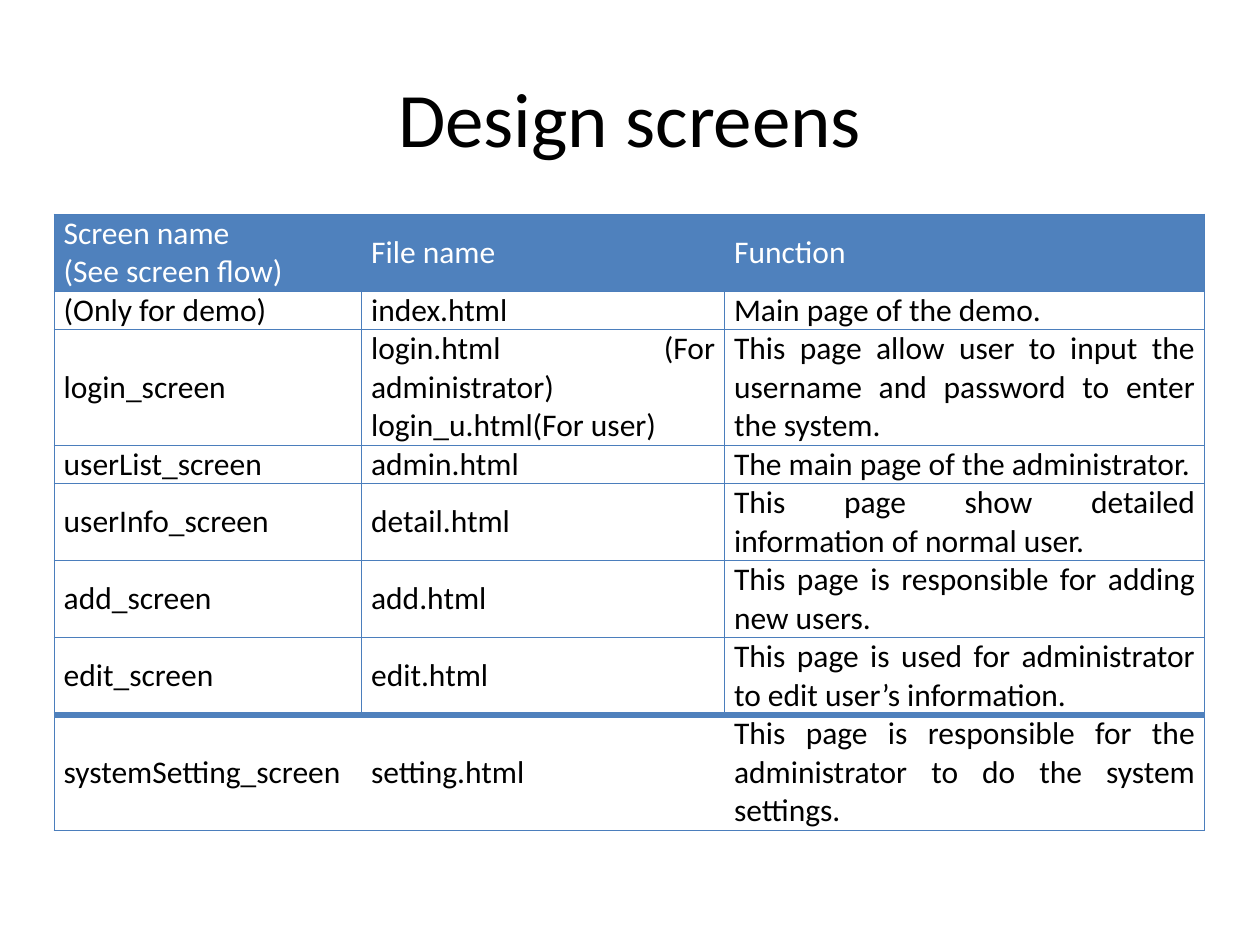
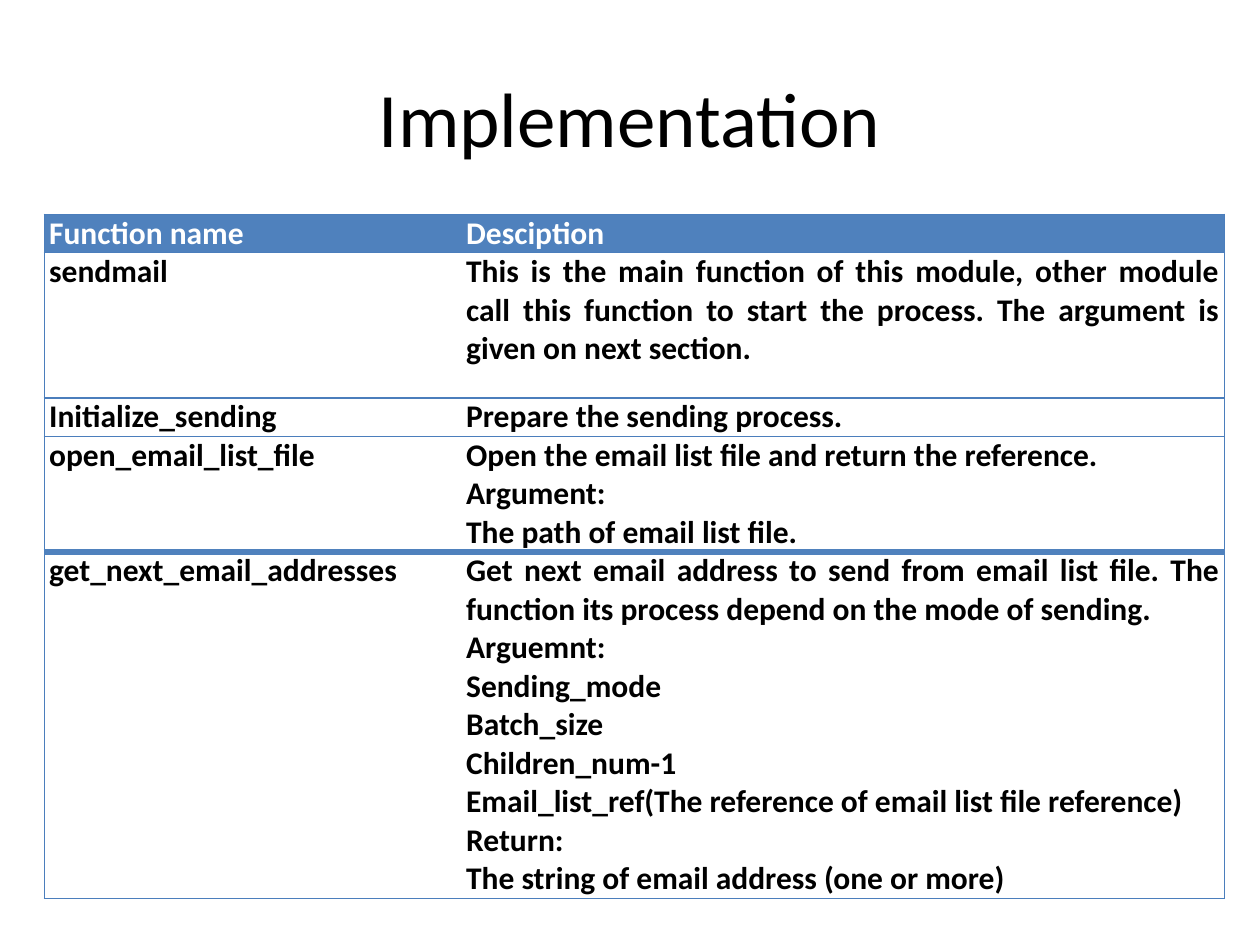
"""Build two slides that each hold a title and a ruled reference table."""
import dataclasses

import lxml.etree
import pptx
import pptx.dml.color
import pptx.enum.text
import pptx.oxml.ns
import pptx.util

Pt = pptx.util.Pt


@dataclasses.dataclass(frozen=True)
class Theme:
    font: str = "Calibri"
    title_size: int = 44
    table_size: int = 18
    line_height: int = 22
    text: str = "000000"
    header_text: str = "FFFFFF"
    header_fill: str = "4F81BD"
    body_fill: str = "FFFFFF"
    rule: str = "4B7EBC"
    thin_rule: float = 0.75
    thick_rule: float = 4


THEME = Theme()
SLIDE_SIZE = (720, 540)
TITLE_BOX = (36, 21.6, 648, 90)
TABLE_TOP = 122.4

SLIDES = [
    {
        "title": "Design screens",
        "left": 31,
        "column_widths": (175.7, 207.4, 274.3),
        "row_lines": (2, 1, 3, 1, 2, 2, 2, 3),
        "extra_heights": {},
        "side_margin": 5.4,
        "anchor": pptx.enum.text.MSO_ANCHOR.MIDDLE,
        "bold": False,
        "column_rules": True,
        "rows": [
            ("Screen name\n(See screen flow)", "File name", "Function"),
            ("(Only for demo)", "index.html", "Main page of the demo."),
            ("login_screen", "login.html (For administrator)\nlogin_u.html(For user)",
             "This page allow user to input the username and password to enter the system."),
            ("userList_screen", "admin.html", "The main page of the administrator."),
            ("userInfo_screen", "detail.html",
             "This page show detailed information of normal user."),
            ("add_screen", "add.html", "This page is responsible for adding new users."),
            ("edit_screen", "edit.html",
             "This page is used for administrator to edit user’s information."),
            ("systemSetting_screen", "setting.html",
             "This page is responsible for the administrator to do the system settings."),
        ],
    },
    {
        "title": "Implementation",
        "left": 25.2,
        "column_widths": (238.3, 436.4),
        "row_lines": (1, 3, 1, 3, 9),
        "extra_heights": {1: 17},
        "side_margin": 2.9,
        "anchor": pptx.enum.text.MSO_ANCHOR.TOP,
        "bold": True,
        "column_rules": False,
        "rows": [
            ("Function name", "Desciption"),
            ("sendmail",
             "This is the main function of this module, other module call this function "
             "to start the process. The argument is given on next section."),
            ("Initialize_sending", "Prepare the sending process."),
            ("open_email_list_file",
             "Open the email list file and return the reference.\nArgument:\n"
             "The path of email list file."),
            ("get_next_email_addresses",
             "Get next email address to send from email list file. The function its process "
             "depend on the mode of sending.\nArguemnt:\nSending_mode\nBatch_size\n"
             "Children_num-1\nEmail_list_ref(The reference of email list file reference)\n"
             "Return:\nThe string of email address (one or more)"),
        ],
    },
]


def color(value):
    return pptx.dml.color.RGBColor.from_string(value)


def format_text(text_frame, size, text_color, alignment, bold=False):
    for paragraph in text_frame.paragraphs:
        paragraph.alignment = alignment
        for run in paragraph.runs:
            run.font.name = THEME.font
            run.font.size = Pt(size)
            run.font.bold = bold
            run.font.color.rgb = color(text_color)


def add_title(slide, title):
    shape = slide.shapes.add_textbox(*map(Pt, TITLE_BOX))
    text_frame = shape.text_frame
    text_frame.word_wrap = True
    text_frame.vertical_anchor = pptx.enum.text.MSO_ANCHOR.MIDDLE
    text_frame.text = title
    format_text(text_frame, THEME.title_size, THEME.text, pptx.enum.text.PP_ALIGN.CENTER)


def add_border(cell, side, width, line_color):
    qualified = pptx.oxml.ns.qn
    properties = cell._tc.get_or_add_tcPr()
    line = lxml.etree.SubElement(properties, qualified(f"a:ln{side}"), w=str(Pt(width)))
    if width:
        fill = lxml.etree.SubElement(line, qualified("a:solidFill"))
        lxml.etree.SubElement(fill, qualified("a:srgbClr"), val=line_color)
    else:
        lxml.etree.SubElement(line, qualified("a:noFill"))


def draw_borders(cell, row, column, content):
    last_row = len(content["rows"]) - 1
    last_column = len(content["column_widths"]) - 1
    inner = THEME.thin_rule if content["column_rules"] and 0 < row < last_row else 0
    widths = {
        "L": THEME.thin_rule if column == 0 else inner,
        "R": THEME.thin_rule if column == last_column else inner,
        "T": THEME.thick_rule if row == last_row else THEME.thin_rule,
        "B": THEME.thick_rule if row == last_row - 1 else THEME.thin_rule,
    }
    for side, width in widths.items():
        line_color = THEME.header_fill if width == THEME.thick_rule else THEME.rule
        add_border(cell, side, width, line_color)


def fill_cell(cell, text, row, column, content):
    cell.margin_left = cell.margin_right = Pt(content["side_margin"])
    cell.margin_top = cell.margin_bottom = 0
    cell.vertical_anchor = content["anchor"]
    draw_borders(cell, row, column, content)
    cell.fill.solid()
    cell.fill.fore_color.rgb = color(THEME.body_fill if row else THEME.header_fill)
    cell.text_frame.text = text
    format_text(cell.text_frame, THEME.table_size, THEME.text if row else THEME.header_text,
                pptx.enum.text.PP_ALIGN.JUSTIFY, content["bold"])


def add_reference_table(slide, content):
    widths = content["column_widths"]
    heights = [lines * THEME.line_height + content["extra_heights"].get(row, 0)
               for row, lines in enumerate(content["row_lines"])]
    table = slide.shapes.add_table(
        len(heights), len(widths), Pt(content["left"]), Pt(TABLE_TOP),
        Pt(sum(widths)), Pt(sum(heights))).table
    table.horz_banding = False
    for column, width in zip(table.columns, widths):
        column.width = Pt(width)
    for row, height in zip(table.rows, heights):
        row.height = Pt(height)
    for row, texts in enumerate(content["rows"]):
        for column, text in enumerate(texts):
            fill_cell(table.cell(row, column), text, row, column, content)


def main():
    presentation = pptx.Presentation()
    presentation.slide_width, presentation.slide_height = map(Pt, SLIDE_SIZE)
    for content in SLIDES:
        slide = presentation.slides.add_slide(presentation.slide_layouts[6])
        add_title(slide, content["title"])
        add_reference_table(slide, content)
    presentation.save("out.pptx")


if __name__ == "__main__":
    main()
